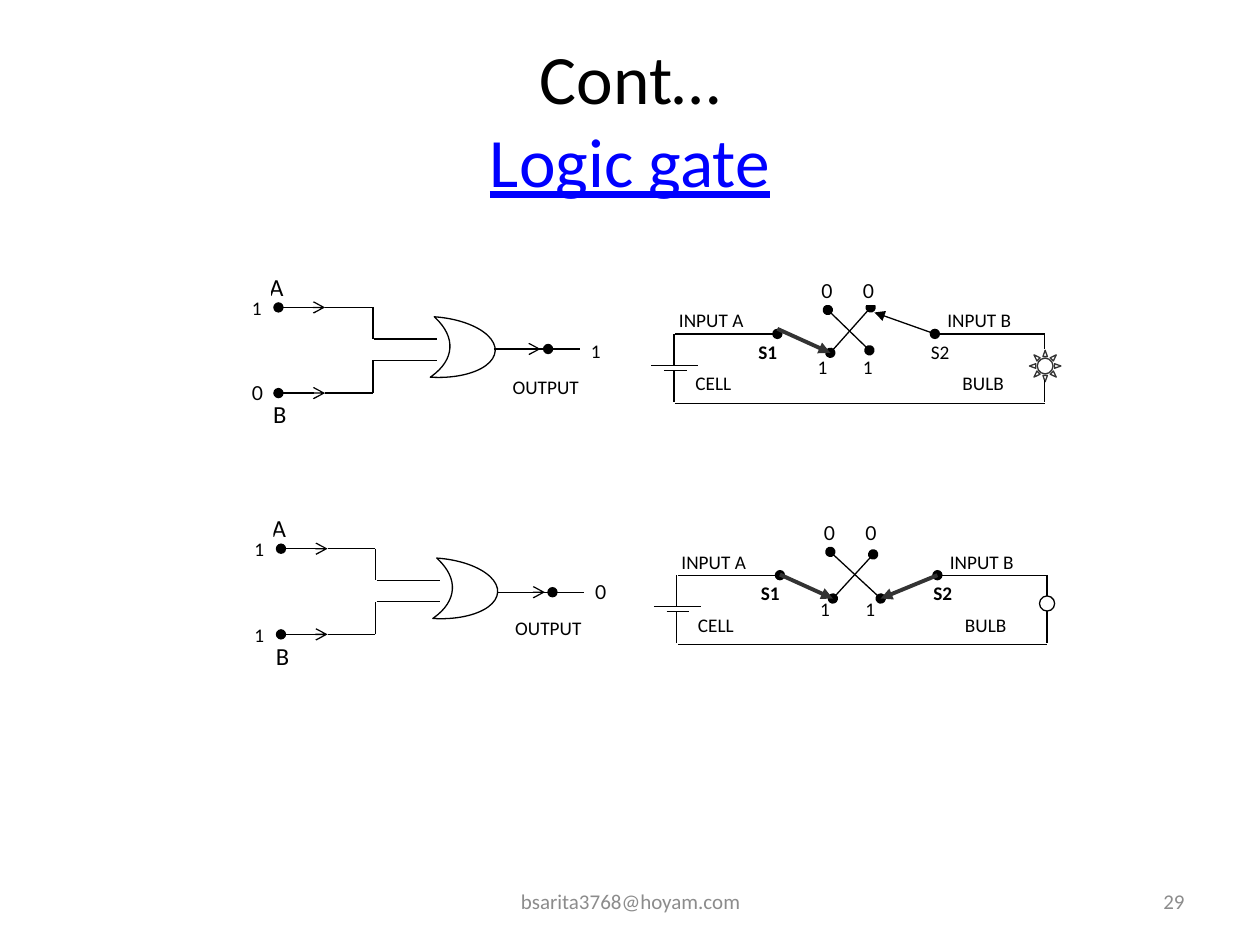
"""Build a slide showing two OR-gate states beside their switch circuits."""
from dataclasses import dataclass

from lxml import etree
from pptx import Presentation, util as u
from pptx.dml.color import RGBColor
from pptx.enum import shapes, text
from pptx.oxml import ns


@dataclass(frozen=True)
class Theme:
    """Colours, fonts and type sizes of the slide."""
    ink: str = "000000"
    dark: str = "333333"
    paper: str = "FFFFFF"
    link: str = "0000FF"
    muted: str = "8C8C8C"
    body: str = "Calibri"
    digit: str = "Lato"
    title: float = 39.6
    terminal: float = 14
    footer: float = 12
    label: float = 11
    thin: float = 0.75
    thick: float = 2.25


@dataclass(frozen=True)
class Circuit:
    """One gate state, with lengths in grid cells from its own origin."""
    origin: tuple
    b: str
    output: str
    output_wire: tuple
    ones_row: float
    crossings: tuple
    s1_row: float
    s2_arrow: tuple
    s2_closed: bool
    bulb: tuple
    bulb_wire: tuple


CIRCUITS = (
    Circuit((0, 0), "0", "1", (0, 27.7), 27.7,
            ((65.7, 24.6, 69, 27.8), (65.9, 28, 69.1, 24.4)),
            26.1, (69.4, 24.8), False,
            (shapes.MSO_SHAPE.SUN, 81.7, 27.8, 2.5), (27.7, 30.2)),
    Circuit((0.2, 19.15), "1", "0", (0.15, 27.85), 27.75,
            ((65.7, 24.65, 69.7, 28.35), (65.9, 28.35, 69.1, 24.85)),
            26.45, (69.7, 28.35), True,
            (shapes.MSO_SHAPE.OVAL, 82.3, 28.15, 1.2), (28.15, 29.35)),
)


class Sheet:
    """A slide on a grid of 100 columns by 75 rows, with its style."""

    def __init__(self, deck, theme):
        """Add a title-only page to the deck."""
        self.theme = theme
        self.column = deck.slide_width / 100
        self.row = deck.slide_height / 75
        self.page = deck.slides.add_slide(deck.slide_layouts[5])
        self.target = self.page.shapes
        self.origin = (0, 0)

    def start_group(self, origin):
        """Draw the following elements in a group at an origin."""
        self.target = self.page.shapes.add_group_shape().shapes
        self.origin = origin

    def place(self, left, top):
        """Turn a grid position into slide lengths."""
        return (u.Emu(round((left + self.origin[0]) * self.column)),
                u.Emu(round((top + self.origin[1]) * self.row)))

    def extent(self, width, height):
        """Turn a grid size into slide lengths."""
        return u.Emu(round(width * self.column)), u.Emu(round(height * self.row))

    def style(self, span, size, color, font=None, bold=False):
        """Format the font of one run."""
        span.font.size = u.Pt(size)
        span.font.name = font or self.theme.body
        span.font.bold = bold
        span.font.color.rgb = RGBColor.from_string(color)

    def title(self, first, second):
        """Fill the title placeholder, with its second line as a link colour."""
        box = self.page.shapes.title
        box.left, box.top = self.place(5, 3)
        box.width, box.height = self.extent(90, 12.8)
        frame = box.text_frame
        frame.text = f"{first}\v{second}"
        frame.auto_size = text.MSO_AUTO_SIZE.NONE
        frame.vertical_anchor = text.MSO_ANCHOR.MIDDLE
        para = frame.paragraphs[0]
        para.alignment = text.PP_ALIGN.CENTER
        for span, color in zip(para.runs, (self.theme.ink, self.theme.link)):
            self.style(span, self.theme.title, color)
        para.runs[1].font.underline = True

    def footer(self, words, left, width, alignment):
        """Add a text box on the footer line."""
        box = self.target.add_textbox(*self.place(left, 69.5), *self.extent(width, 4))
        frame = box.text_frame
        frame.word_wrap = True
        frame.vertical_anchor = text.MSO_ANCHOR.MIDDLE
        frame.text = words
        para = frame.paragraphs[0]
        para.alignment = alignment
        self.style(para.runs[0], self.theme.footer, self.theme.muted)

    def shape(self, kind, left, top, width, height, line=None):
        """Add a preset shape filled with the paper colour."""
        shape = self.target.add_shape(kind, *self.place(left, top),
                                      *self.extent(width, height))
        shape.shadow.inherit = False
        shape.fill.solid()
        shape.fill.fore_color.rgb = RGBColor.from_string(self.theme.paper)
        if line:
            shape.line.color.rgb = RGBColor.from_string(line)
            shape.line.width = u.Pt(self.theme.thin)
        else:
            shape.line.fill.background()
        return shape

    def label(self, words, left, top, width=2.5, height=2.5, size=None, bold=False):
        """Add a label, with zeros in the digit font."""
        box = self.shape(shapes.MSO_SHAPE.RECTANGLE, left, top, width, height)
        frame = box.text_frame
        frame.vertical_anchor = text.MSO_ANCHOR.TOP
        frame.text = words
        para = frame.paragraphs[0]
        para.alignment = text.PP_ALIGN.LEFT
        para.space_after = u.Pt(10)
        font = self.theme.digit if words == "0" else self.theme.body
        self.style(para.runs[0], size or self.theme.label, self.theme.ink, font, bold)

    def wire(self, x1, y1, x2, y2, head=None, tail=None, heavy=False):
        """Add a straight line with optional line ends."""
        theme = self.theme
        wire = self.target.add_connector(shapes.MSO_CONNECTOR.STRAIGHT,
                                         *self.place(x1, y1), *self.place(x2, y2))
        wire.line.color.rgb = RGBColor.from_string(theme.dark if heavy else theme.ink)
        wire.line.width = u.Pt(theme.thick if heavy else theme.thin)
        outline = wire.line._get_or_add_ln()
        for tag, kind in (("a:headEnd", head), ("a:tailEnd", tail)):
            if kind:
                etree.SubElement(outline, ns.qn(tag), type=kind)
        etree.SubElement(wire._element.spPr, ns.qn("a:effectLst"))

    def gate(self, circuit):
        """Draw the OR gate with its inputs and output."""
        theme = self.theme
        body = self.shape(shapes.MSO_SHAPE.MOON, 34.3, 25.3, 5, 4.8, theme.ink)
        body.adjustments[0] = 0.72
        body.rotation = 183.7
        shift, row = circuit.output_wire
        self.label("A", 20.4, 21.1, 3.8, 3.8, theme.terminal)
        self.label("B", 20.7, 31.2, 3.8, 3.8, theme.terminal)
        self.label("1", 19, 23)
        self.label(circuit.b, 19, 29.8)
        self.label("OUTPUT", 39.7, 29.3, 8.8, 3.8)
        self.label(circuit.output, 45.9 + shift, 26.4)
        for outer, inner in ((24.4, 26.9), (31.2, 28.6)):
            self.wire(22.1, outer, 25.8, outer, "oval", "arrow")
            self.wire(25.8, outer, 29.6, outer)
            self.wire(29.6, outer, 29.6, inner)
            self.wire(29.7, inner, 34.7, inner)
        for start, end, tail in ((39.2, 42.9, "arrow"), (39.8, 43.5, "oval"),
                                 (43.6, 46, None)):
            self.wire(start + shift, row, end + shift, row, tail=tail)

    def switches(self, circuit):
        """Draw the cell, the two switches and the bulb."""
        for words, left, top, width, bold in (
                ("INPUT A", 52.9, 24, 8.8, False), ("INPUT B", 74.2, 24, 8.8, False),
                ("S1", 59.2, 26.5, 5, True), ("S2", 72.9, 26.5, 5, circuit.s2_closed),
                ("CELL", 54.2, 29, 7.5, False), ("BULB", 75.4, 29, 7.5, False)):
            self.label(words, left, top, width, bold=bold)
        for left in (63.9, 67.5):
            self.label("1", left, circuit.ones_row)
        kind, left, top, size = circuit.bulb
        self.shape(kind, left, top, size, size,
                   self.theme.ink if circuit.s2_closed else self.theme.dark)
        above, below = circuit.bulb_wire
        for ends in ((51.7, 29, 55.4, 29), (52.7, 29.4, 54.5, 29.4),
                     (53.5, 29, 53.5, 26.5), (53.5, 31.9, 53.5, 29.4),
                     (53.6, 26.5, 59.2, 26.5), (76.5, 26.5, 82.9, 26.5),
                     (82.9, above, 82.9, 26.5), (82.9, 31.9, 82.9, below),
                     (53.6, 32, 82.9, 32)):
            self.wire(*ends)
        for ends in circuit.crossings:
            self.wire(*ends, "oval", "oval")
        self.wire(56.7, 26.5, 61.7, 26.5, tail="oval")
        self.wire(74.2, 26.5, 80.6, 26.5, head="oval")
        self.wire(61.7, circuit.s1_row, 65.9, circuit.s1_row + 1.9,
                  tail="triangle", heavy=True)
        self.wire(74.2, 26.5, *circuit.s2_arrow, tail="triangle",
                  heavy=circuit.s2_closed)
        for left in (64.2, 67.5):
            self.label("0", left, 21.7)


def main():
    """Build and save the deck."""
    deck = Presentation()
    deck.slide_width, deck.slide_height = u.Inches(10), u.Inches(7.5)
    sheet = Sheet(deck, Theme())
    sheet.title("Cont…", "Logic gate")
    sheet.footer("bsarita3768@hoyam.com", 34.2, 31.7, text.PP_ALIGN.CENTER)
    sheet.footer("29", 71.7, 23.3, text.PP_ALIGN.RIGHT)
    for circuit in CIRCUITS:
        sheet.start_group(circuit.origin)
        sheet.gate(circuit)
        sheet.switches(circuit)
    deck.save("out.pptx")


if __name__ == "__main__":
    main()
